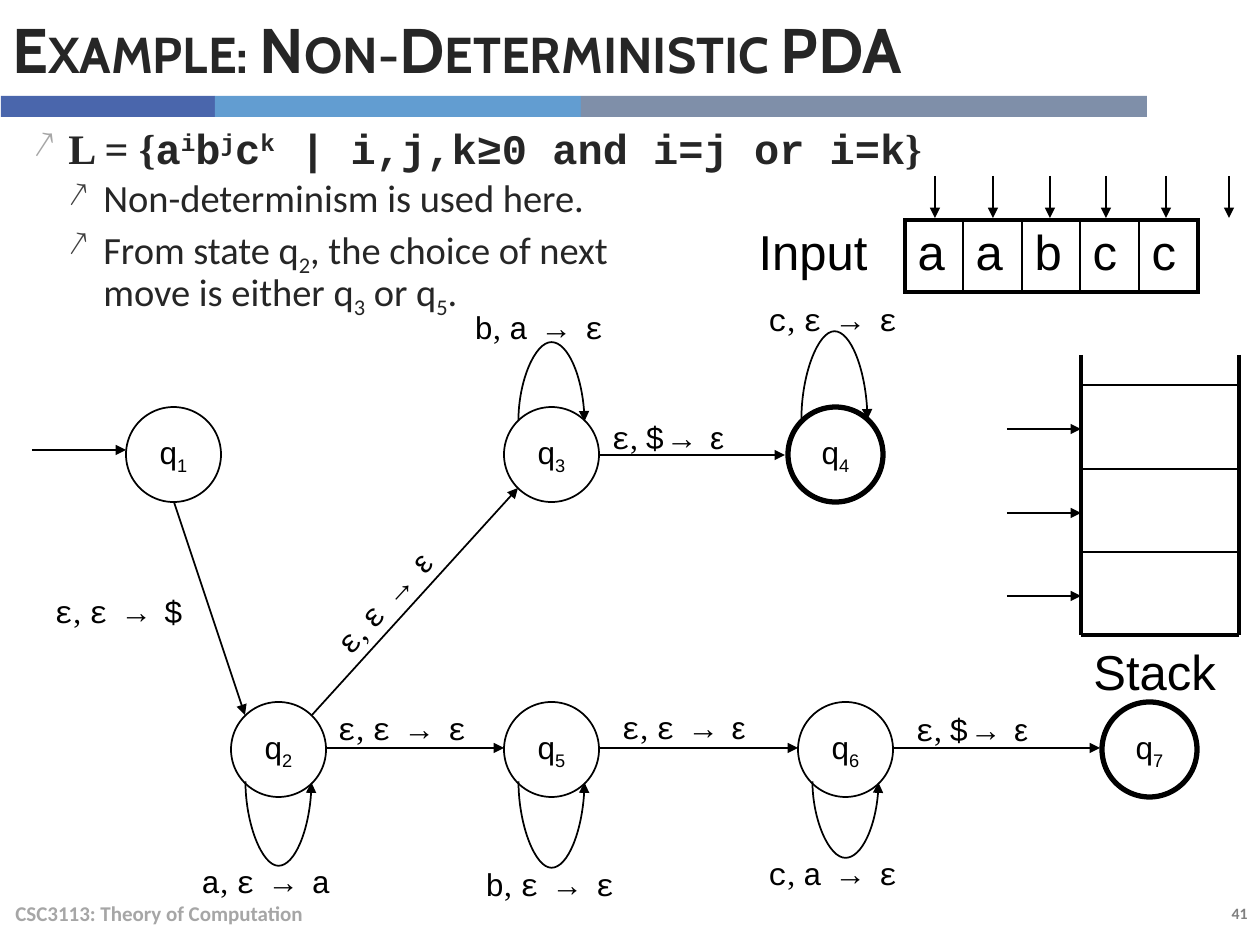
from dataclasses import dataclass

from lxml import etree
from pptx import Presentation
from pptx.dml.color import RGBColor
from pptx.enum.shapes import MSO_CONNECTOR, MSO_SHAPE
from pptx.enum.text import MSO_ANCHOR, PP_ALIGN
from pptx.oxml.ns import qn
from pptx.util import Pt

LINE, CURVE = MSO_CONNECTOR.STRAIGHT, MSO_CONNECTOR.CURVE
RECT, OVAL = MSO_SHAPE.RECTANGLE, MSO_SHAPE.OVAL
TOP, MIDDLE = MSO_ANCHOR.TOP, MSO_ANCHOR.MIDDLE
LEFT, CENTER, RIGHT = PP_ALIGN.LEFT, PP_ALIGN.CENTER, PP_ALIGN.RIGHT
SCALE = 914400 / 126


@dataclass(frozen=True)
class Theme:
    """Colours, fonts and type sizes of the slide."""
    ink: str = "000000"
    text: str = "262626"
    gray: str = "808080"
    pale: str = "A6A6A6"
    dark: str = "404040"
    bars: tuple = ("4A66AC", "629DD1", "7F8FA9")
    head: str = "Cabin"
    body: str = "Calibri"
    sans: str = "Arial"
    serif: str = "Times New Roman"
    code: str = "Courier New"
    title: int = 36
    rule: int = 24
    point: int = 22
    big: int = 28
    small: int = 18
    foot: int = 12
    page: int = 9
    thin: float = 1
    wide: float = 2.25
    bold: float = 3


T = Theme()
STATES = [(1, 126, 407, T.thin), (3, 504, 407, T.thin), (4, 788, 407, T.bold),
          (2, 231, 702, T.thin), (5, 504, 702, T.thin), (6, 798, 702, T.thin),
          (7, 1102, 702, T.bold)]
MOVES = [(32, 450, 126, 450), (174, 502, 245, 715), (312, 715, 518, 488),
         (326, 748, 504, 748), (599, 748, 798, 748), (892, 748, 1100, 748),
         (599, 455, 785, 455)]
LOOPS = [(551, 421, -79), (834, 419, -88), (278, 782, 85), (551, 782, 87), (845, 782, 77)]
LABELS = [(42, 586, "ε", "ε", "$", T.sans, 0), (304, 566, "ε", "ε", "ε", T.sans, 312.6),
          (325, 703, "ε", "ε", "ε", T.code, 0), (609, 702, "ε", "ε", "ε", T.sans, 0),
          (903, 704, "ε", "$", "ε", T.sans, 0), (599, 412, "ε", "$", "ε", T.sans, 0),
          (189, 856, "a", "ε", "a", T.code, 0), (473, 859, "b", "ε", "ε", T.code, 0),
          (756, 848, "c", "a", "ε", T.code, 0), (462, 302, "b", "a", "ε", T.code, 0),
          (756, 294, "c", "ε", "ε", T.code, 0)]


def px(n):
    """Turn px into EMU."""
    return round(n * SCALE)


def rgb(code):
    """Turn a hex code into a colour."""
    return RGBColor.from_string(code)


def write(par, runs, size, color, bold=False):
    """Add runs given as text, font and an optional baseline percent."""
    for text, font, *base in runs:
        run = par.add_run()
        run.text = text
        run.font.name, run.font.size, run.font.bold = font, Pt(size), bold
        run.font.color.rgb = rgb(color)
        if base:
            run.font._element.set("baseline", str(base[0] * 1000))


def add_box(slide, area, anchor=TOP):
    """Add a wrapping text box."""
    box = slide.shapes.add_textbox(*map(px, area))
    box.text_frame.word_wrap = True
    box.text_frame.vertical_anchor = anchor
    return box


def add_text(slide, area, runs, size, color, bold=False, align=LEFT, anchor=TOP):
    """Add a text box of one paragraph."""
    box = add_box(slide, area, anchor)
    par = box.text_frame.paragraphs[0]
    par.alignment = align
    write(par, runs, size, color, bold)
    return box


def add_bar(slide, left, width, color):
    """Add one part of the band below the title."""
    bar = slide.shapes.add_shape(RECT, px(left), px(96), px(width), px(21))
    bar.shadow.inherit = False
    bar.fill.solid()
    bar.fill.fore_color.rgb = rgb(color)
    bar.line.fill.background()


def add_state(slide, num, left, top, weight):
    """Add a round state with its name."""
    node = slide.shapes.add_shape(OVAL, px(left), px(top), px(95), px(95))
    node.shadow.inherit = False
    node.fill.background()
    node.line.color.rgb, node.line.width = rgb(T.ink), Pt(weight)
    frame = node.text_frame
    frame.word_wrap, frame.vertical_anchor = False, MIDDLE
    par = frame.paragraphs[0]
    par.alignment = CENTER
    write(par, [("q", T.sans), (str(num), T.sans, -25)], T.small, T.ink)


def add_line(slide, ends, weight=T.thin, arrow=False, kind=LINE):
    """Add a connector, with an arrowhead if asked."""
    link = slide.shapes.add_connector(kind, *map(px, ends))
    link.line.color.rgb, link.line.width = rgb(T.ink), Pt(weight)
    if arrow:
        etree.SubElement(link.line._get_or_add_ln(), qn("a:tailEnd"), type="triangle")
    etree.SubElement(link._element.spPr, qn("a:effectLst"))
    return link


def add_loop(slide, mid, y, rise):
    """Add a curved arrow from a state to itself."""
    half = 33
    ends = (mid, y + half, mid + 1, y - half) if rise < 0 else (mid + 1, y - half, mid, y + half)
    props = add_line(slide, ends, arrow=True, kind=CURVE)._element.spPr
    turn = 90 if rise < 0 else 270
    props.find(qn("a:xfrm")).set("rot", str(turn * 60000))
    guides = props.find(qn("a:prstGeom")).find(qn("a:avLst"))
    etree.SubElement(guides, qn("a:gd"), name="adj1", fmla=f"val {abs(rise) * 100000 * (-1 if rise < 0 else 1)}")


def add_label(slide, left, top, read, pop, push, font, turn):
    """Add the read, pop and push label of a move."""
    runs = [(read, T.code), (", ", T.serif),
            (pop + " ", T.sans if pop == "$" else T.code), ("→ ", T.code), (push, font)]
    add_text(slide, (left, top, 179, 50), runs, T.small, T.ink).rotation = turn


def set_point(par, left, color):
    """Give a paragraph its arrow bullet and spacing."""
    props = par._p.get_or_add_pPr()
    props.set("marL", str(px(left)))
    props.set("indent", str(px(-35)))
    tint = etree.SubElement(props, qn("a:buClr"))
    etree.SubElement(tint, qn("a:srgbClr"), val=color)
    etree.SubElement(props, qn("a:buSzPct"), val="90000")
    etree.SubElement(props, qn("a:buChar"), char="↗")
    par.line_spacing = 0.8


def add_points(slide):
    """Add the language and the notes on it."""
    frame = add_box(slide, (21, 126, 1218, 205)).text_frame
    first = frame.paragraphs[0]
    set_point(first, 35, T.pale)
    power = [part for base, exp in ("ai", "bj", "ck")
             for part in ((base, T.code), (exp, T.code, 30))]
    write(first, [("L = {", T.serif), *power, (" | i,j,k≥0 and i=j or i=k", T.code),
                  ("}", T.serif)], T.rule, T.text, True)
    notes = [[[("Non-determinism is used here.", T.body)]],
             [[("From state q", T.body), ("2", T.body, -25), (", the choice of next", T.body)],
              [("move is either q", T.body), ("3", T.body, -25), (" or q", T.body),
               ("5", T.body, -25), (".", T.body)]]]
    for lines in notes:
        par = frame.add_paragraph()
        par.level = 1
        set_point(par, 70, T.dark)
        par.space_before = Pt(6)
        for i, runs in enumerate(lines):
            if i:
                par.add_line_break()
            write(par, runs, T.point, T.text)


def set_edge(cell, side, weight):
    """Draw one border of a cell."""
    edge = etree.SubElement(cell._tc.get_or_add_tcPr(), qn("a:ln" + side), w=str(Pt(weight)))
    fill = etree.SubElement(edge, qn("a:solidFill"))
    etree.SubElement(fill, qn("a:srgbClr"), val=T.ink)


def add_tape(slide):
    """Add the input tape as a table."""
    words = ["Input", *"aabcc"]
    last = len(words) - 1
    table = slide.shapes.add_table(1, len(words), px(746), px(220), px(452), px(72)).table
    table.first_row = table.horz_banding = False
    for i, word in enumerate(words):
        table.columns[i].width = px(293 * i // last - 293 * (i - 1) // last if i else 159)
        cell = table.cell(0, i)
        if i:
            set_edge(cell, "L", T.wide if i == 1 else T.thin)
        set_edge(cell, "R", T.wide if i in (0, last) else T.thin)
        for side in "TB" if i else "":
            set_edge(cell, side, T.wide)
        cell.fill.background()
        write(cell.text_frame.paragraphs[0], [(word, T.sans)], T.big, T.ink)
    for x in (935, 993, 1050, 1106, 1166, 1229):
        add_line(slide, (x, 176, x, 218), arrow=True)


def add_stack(slide):
    """Add the open stack with its arrows and name."""
    left, right, base = 1081, 1239, 635
    for x in (left, right):
        add_line(slide, (x, 355, x, base), T.wide)
    add_line(slide, (left, base, right, base), T.wide)
    for y in (385, 469, 552):
        add_line(slide, (left, y, right, y))
        add_line(slide, (left - 74, y + 44, left, y + 44), arrow=True)
    add_text(slide, (left, base, 158, 83), [("Stack", T.sans)], T.big, T.ink)


def main():
    """Build the slide and save it."""
    deck = Presentation()
    deck.slide_width, deck.slide_height = px(1260), px(945)
    slide = deck.slides.add_slide(deck.slide_layouts[6])
    for (left, width), color in zip(((1, 214), (215, 366), (581, 566)), T.bars):
        add_bar(slide, left, width, color)
    title = add_text(slide, (0, 0, 1147, 96), [("Example: Non-Deterministic PDA", T.head)],
                     T.title, T.text, True, anchor=MIDDLE)
    title.text_frame.paragraphs[0].runs[0].font._element.set("cap", "small")
    add_text(slide, (3, 888, 844, 50), [("CSC3113: Theory of Computation", T.body)],
             T.foot, T.pale, True, anchor=MIDDLE)
    add_text(slide, (1100, 898, 160, 32), [("41", T.body)], T.page, T.gray, True, RIGHT)
    add_points(slide)
    for items, draw in ((STATES, add_state), (LOOPS, add_loop), (LABELS, add_label)):
        for item in items:
            draw(slide, *item)
    for ends in MOVES:
        add_line(slide, ends, arrow=True)
    add_tape(slide)
    add_stack(slide)
    deck.save("out.pptx")


if __name__ == "__main__":
    main()
